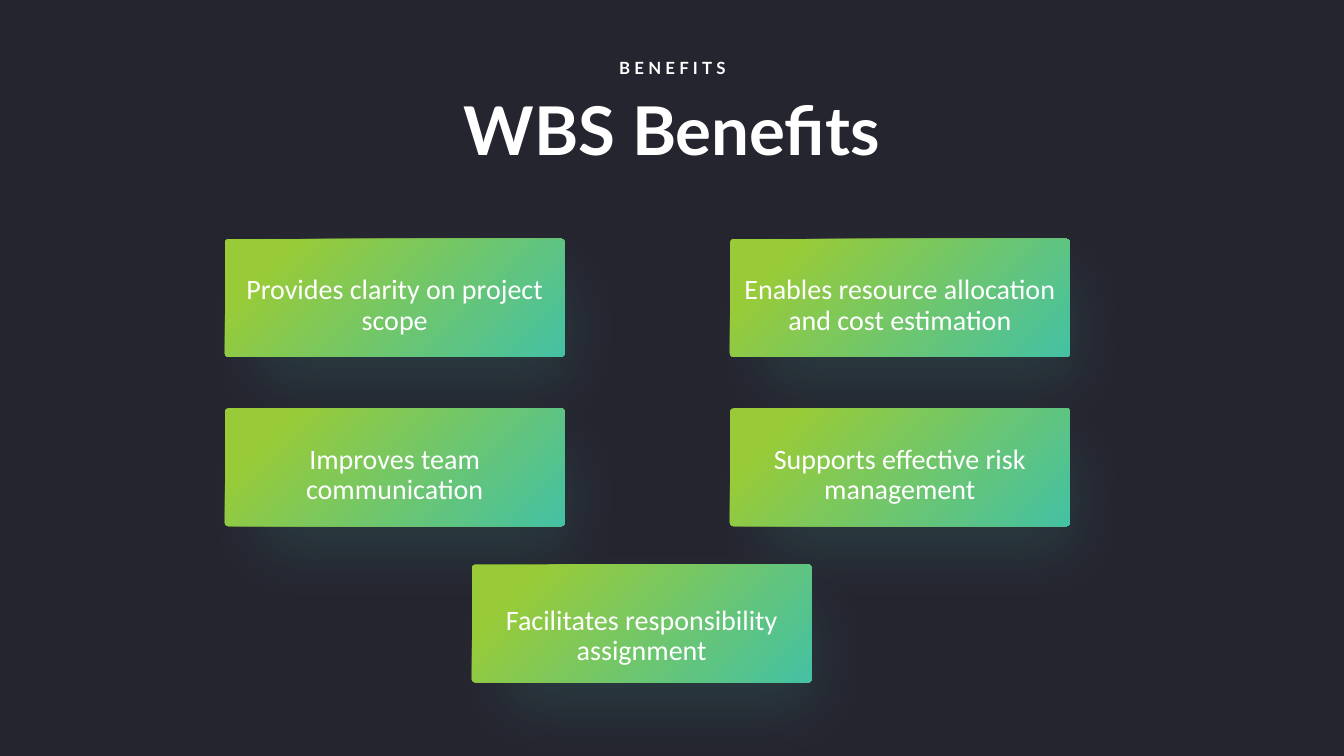
from dataclasses import dataclass
from pptx import Presentation
from pptx.dml.color import RGBColor
from pptx.enum.shapes import MSO_SHAPE
from pptx.enum.text import MSO_ANCHOR, MSO_AUTO_SIZE, PP_ALIGN
from pptx.oxml import parse_xml
from pptx.util import Inches, Pt


@dataclass
class Theme:
    back: str = "252530"
    white: str = "FFFFFF"
    teal: str = "44C1A3"
    lime: str = "99CB38"
    head: str = "Lato"
    body: str = "Calibri"
    title: int = 48
    label: int = 12
    card: int = 20


theme = Theme()
space = 'xmlns:a="http://schemas.openxmlformats.org/drawingml/2006/main"'
grad = f'''<a:gradFill {space} rotWithShape="1"><a:gsLst>
<a:gs pos="0"><a:srgbClr val="{theme.teal}"/></a:gs>
<a:gs pos="85000"><a:srgbClr val="{theme.lime}"/></a:gs></a:gsLst>
<a:path path="circle"><a:fillToRect l="100000" t="100000"/></a:path></a:gradFill>'''
glow = f'''<a:effectLst {space}><a:outerShdw blurRad="{Pt(44)}" dist="{Pt(37)}"
dir="2700000" sx="90000" sy="90000" algn="tl" rotWithShape="0">
<a:srgbClr val="{theme.teal}"><a:alpha val="15000"/></a:srgbClr>
</a:outerShdw></a:effectLst>'''


def place(shape, left, top, width, height):
    shape.left, shape.top = Inches(left), Inches(top)
    shape.width, shape.height = Inches(width), Inches(height)


def write(shape, text, face, size, bold=False):
    frame = shape.text_frame
    frame.word_wrap = True
    frame.auto_size = MSO_AUTO_SIZE.NONE
    frame.vertical_anchor = MSO_ANCHOR.MIDDLE
    line = frame.paragraphs[0]
    line.text = text
    line.alignment = PP_ALIGN.CENTER
    line.space_before = Pt(0)
    font = line.font
    font.name, font.size, font.bold = face, Pt(size), bold
    font.color.rgb = RGBColor.from_string(theme.white)
    return line


deck = Presentation()
deck.slide_width, deck.slide_height = Inches(13.33), Inches(7.5)
slide = deck.slides.add_slide(deck.slide_layouts[0])
paint = slide.background.fill
paint.solid()
paint.fore_color.rgb = RGBColor.from_string(theme.back)

title = slide.shapes.title
place(title, 1.67, 0.82, 9.99, 0.91)
write(title, "WBS Benefits", theme.head, theme.title, True)

label = slide.placeholders[1]
place(label, 4.19, 0.52, 4.96, 0.3)
line = write(label, "BENEFITS", theme.head, theme.label, True)
line.runs[0].font._element.set("spc", "300")

wide, high = 3.37, 1.17
left, top = 2.23, 2.37
across, down = 5.01, 1.68
grid = [
    ["Provides clarity on project scope", "Enables resource allocation and cost estimation"],
    ["Improves team communication", "Supports effective risk management"],
]
cards = [
    (text, left + col * across, top + row * down, 0.21)
    for row, texts in enumerate(grid)
    for col, text in enumerate(texts)
]
cards.append(("Facilitates responsibility assignment", 4.68, 5.6, 0.31))

for text, x, y, inset in cards:
    card = slide.shapes.add_shape(
        MSO_SHAPE.ROUNDED_RECTANGLE, Inches(x), Inches(y), Inches(wide), Inches(high)
    )
    card.adjustments[0] = 0.03
    card.line.fill.background()
    props = card._element.spPr
    props.insert(2, parse_xml(grad))
    props.append(parse_xml(glow))
    line = write(card, text, theme.body, theme.card)
    line.line_spacing = 0.9
    card.text_frame.margin_top = Inches(inset)

deck.save("out.pptx")
